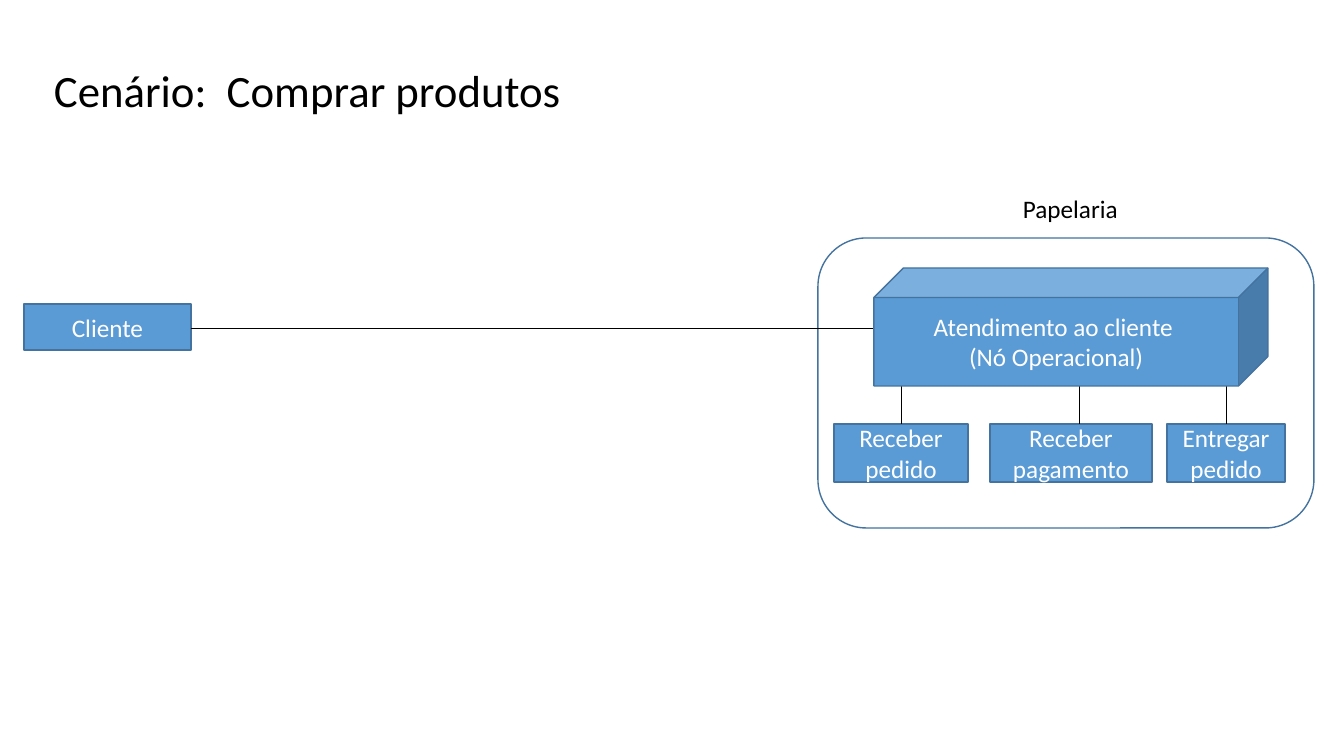
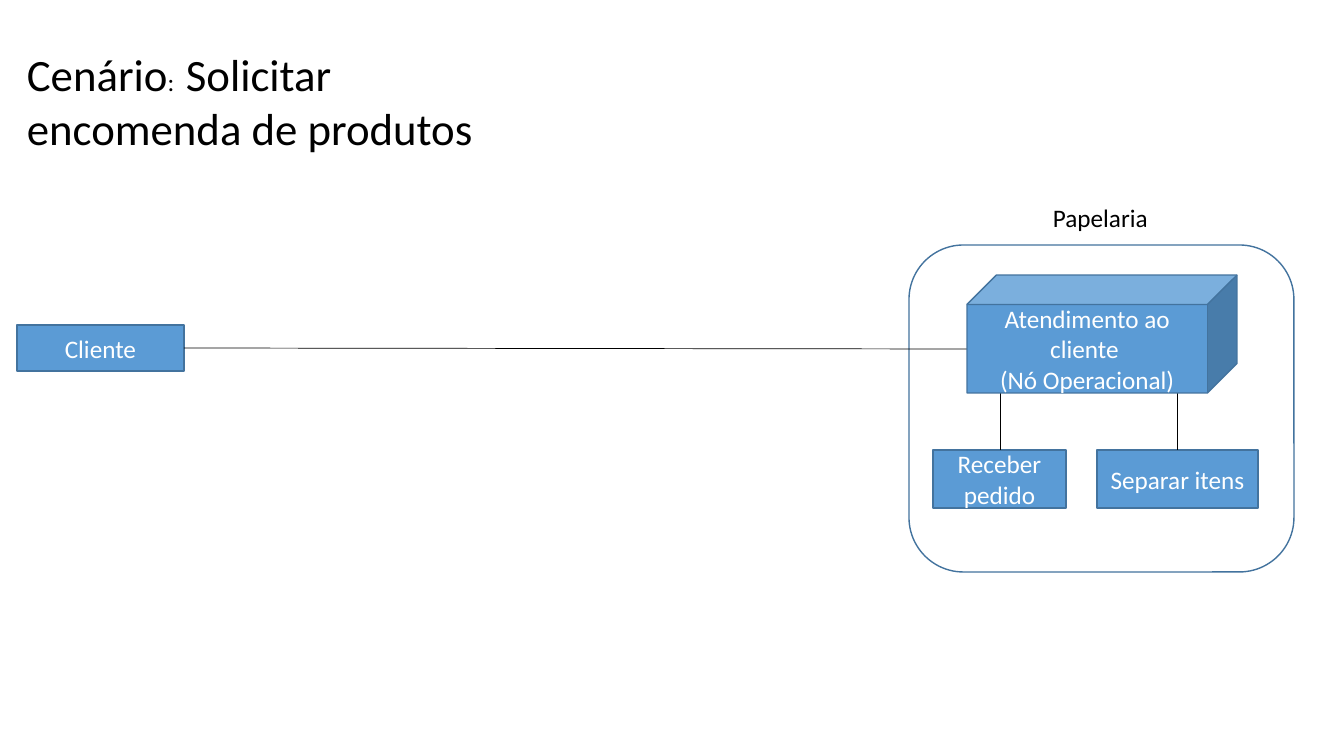
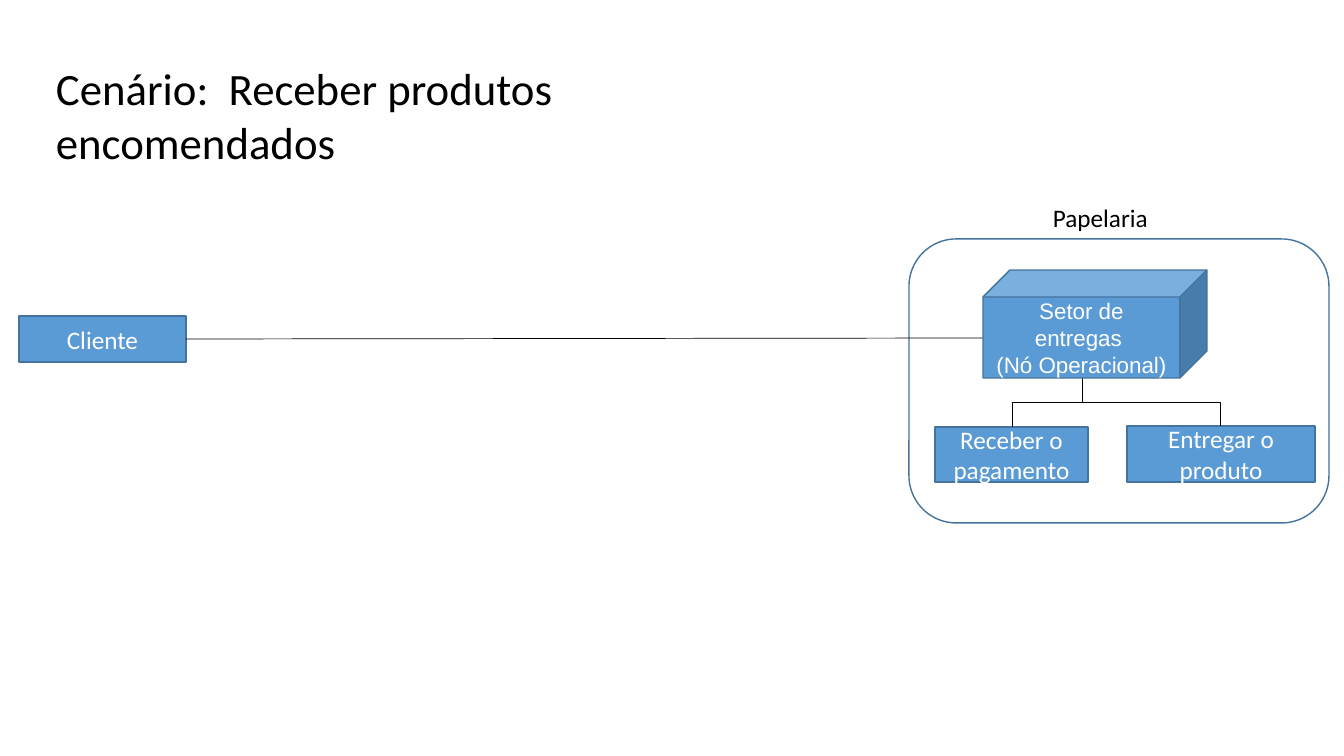
from pptx import Presentation, util as u
from pptx.dml.color import RGBColor
from pptx.enum import shapes, text
from pptx.oxml.ns import qn
from pptx.oxml.xmlchemy import OxmlElement

# Shared style
BLUE, EDGE, INK, WHITE = "5B9BD5", "43739E", "000000", "FFFFFF"
FONT, BODY, HEAD = "Calibri", 18, 32
NODE = "(Nó Operacional)"
SERVE = ["Atendimento ao cliente ", NODE]

# Content: boxes are (left, top, width, height) in pixels
# Each task: label, box, wire start, wire end
SCENES = [
    dict(title=["Cenário:  Comprar produtos"], head=(44, 58, 532, 64),
         shop=(1013, 188, 116, 40), frame=(818, 238, 496, 290),
         client=(24, 304, 167, 46), link=(191, 328, 967, 328),
         cube=(874, 268, 394, 118), lines=SERVE, font=(FONT, BODY),
         tasks=[("Receber pedido", (834, 424, 134, 58), (901, 367), (901, 424)),
                ("Receber pagamento", (990, 424, 162, 58), (1079, 367), (1079, 424)),
                ("Entregar pedido", (1167, 424, 118, 58), (1226, 386), (1226, 424))]),
    dict(title=[["Cenário", (":  ", BODY), "Solicitar", (" ", BODY)],
                "encomenda de produtos"], head=(17, 42, 471, 119),
         shop=(1043, 197, 116, 40), frame=(909, 245, 385, 327),
         client=(17, 325, 167, 46), link=(184, 348, 967, 349),
         cube=(967, 275, 270, 118), lines=SERVE, font=(FONT, BODY),
         tasks=[("Receber pedido", (933, 450, 133, 58), (1000, 392), (1000, 450)),
                ("Separar itens", (1097, 450, 161, 58), (1177, 392), (1177, 450))]),
    dict(title=["Cenário:  Receber produtos ", "encomendados"],
         head=(46, 56, 532, 119),
         shop=(1043, 197, 116, 40), frame=(909, 239, 420, 284),
         client=(19, 316, 167, 46), link=(186, 339, 983, 338),
         cube=(983, 270, 224, 108), lines=["Setor de entregas ", NODE],
         font=("Arial", 16),
         tasks=[("Entregar o produto", (1127, 426, 188, 56), (1082, 378), (1220, 426)),
                ("Receber o pagamento", (935, 427, 153, 55), (1082, 378), (1012, 427))]),
]


def px(n):
    return round(n * 914400 / 100.8)


def paint(part, color):
    part.solid()
    part.fore_color.rgb = RGBColor.from_string(color)


def write(frame, lines, color, name=FONT, size=BODY, align=None):
    for i, line in enumerate(lines):
        para = frame.paragraphs[0] if i == 0 else frame.add_paragraph()
        para.alignment = align
        para.font.name, para.font.size = name, u.Pt(size)
        para.font.color.rgb = RGBColor.from_string(color)
        for part in [line] if isinstance(line, str) else line:
            run = para.add_run()
            if isinstance(part, str):
                run.text = part
            else:
                run.text, run.font.size = part[0], u.Pt(part[1])


def label(slide, box, lines, size):
    frame = slide.shapes.add_textbox(*map(px, box)).text_frame
    frame.word_wrap = False
    frame.auto_size = text.MSO_AUTO_SIZE.SHAPE_TO_FIT_TEXT
    write(frame, lines, INK, size=size)


def block(slide, kind, box, lines=(), fill=BLUE, font=(FONT, BODY)):
    shape = slide.shapes.add_shape(kind, *map(px, box))
    shape.shadow.inherit = False
    if fill:
        paint(shape.fill, fill)
    else:
        shape.fill.background()
    paint(shape.line.fill, EDGE)
    shape.line.width = u.Pt(1)
    frame = shape.text_frame
    frame.vertical_anchor = text.MSO_ANCHOR.MIDDLE
    write(frame, lines, WHITE, *font, align=text.PP_ALIGN.CENTER)


def wire(slide, x0, y0, x1, y1, elbow=False):
    kind, turn = shapes.MSO_CONNECTOR.STRAIGHT, 0
    if elbow:
        # Leave downwards: turn a sideways elbow about its centre
        kind, side = shapes.MSO_CONNECTOR.ELBOW, 1 if x1 < x0 else -1
        midx, midy = (x0 + x1) / 2, (y0 + y1) / 2
        a, b = side * (y1 - y0) / 2, abs(x1 - x0) / 2
        x0, y0, x1, y1 = midx - a, midy - b, midx + a, midy + b
        turn = side * 90 % 360
    line = slide.shapes.add_connector(kind, *map(px, (x0, y0, x1, y1)))
    paint(line.line.fill, INK)
    line.line.width = u.Pt(0.5)
    props = line._element.spPr
    props.append(OxmlElement("a:effectLst"))
    if turn:
        props.find(qn("a:xfrm")).set("rot", str(turn * 60000))


deck = Presentation()
deck.slide_width, deck.slide_height = px(1344), px(756)
Kind = shapes.MSO_SHAPE

for scene in SCENES:
    slide = deck.slides.add_slide(deck.slide_layouts[6])
    # Shop frame, client and title
    block(slide, Kind.ROUNDED_RECTANGLE, scene["frame"], fill=None)
    label(slide, scene["shop"], ["Papelaria"], BODY)
    block(slide, Kind.RECTANGLE, scene["client"], ["Cliente"])
    wire(slide, *scene["link"])
    label(slide, scene["head"], scene["title"], HEAD)
    # Tasks hang from the node, which covers the wire ends
    for name, box, start, end in scene["tasks"]:
        block(slide, Kind.RECTANGLE, box, [name])
        wire(slide, *start, *end, elbow=start[0] != end[0])
    block(slide, Kind.CUBE, scene["cube"], scene["lines"], font=scene["font"])

deck.save("out.pptx")
